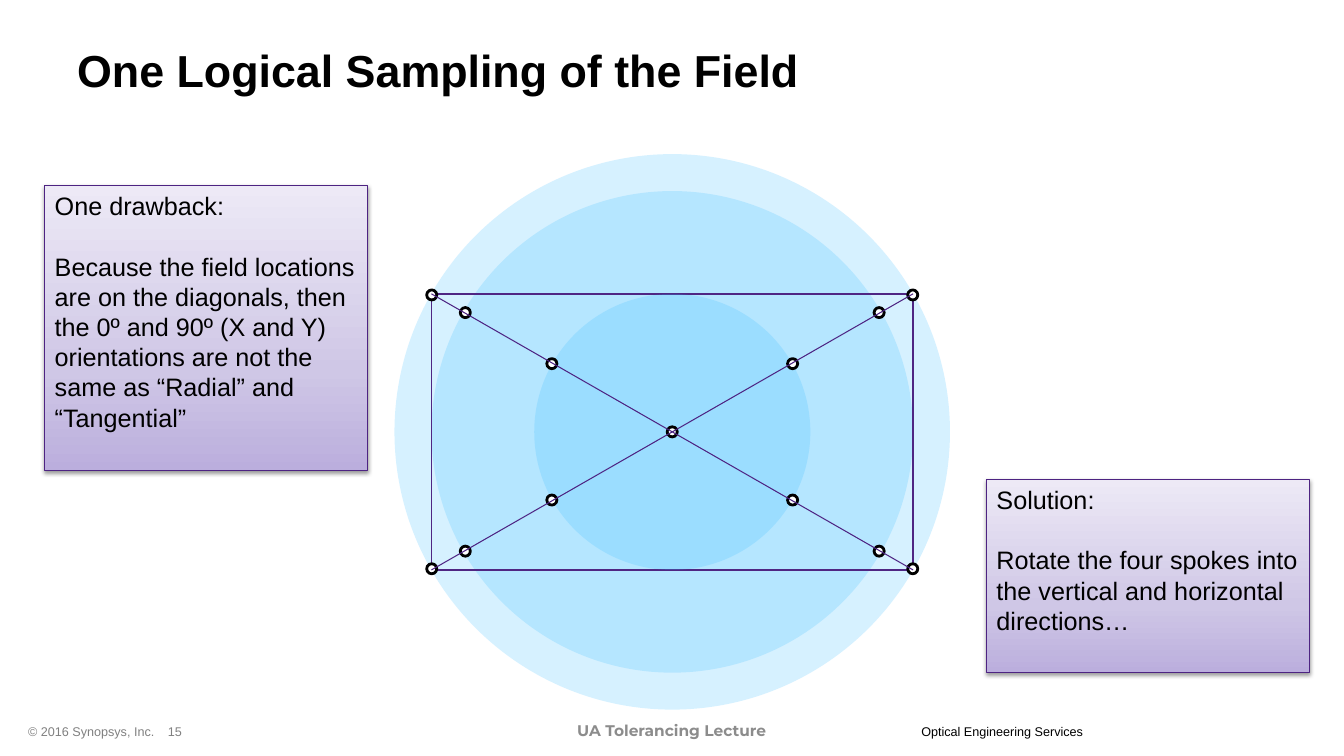
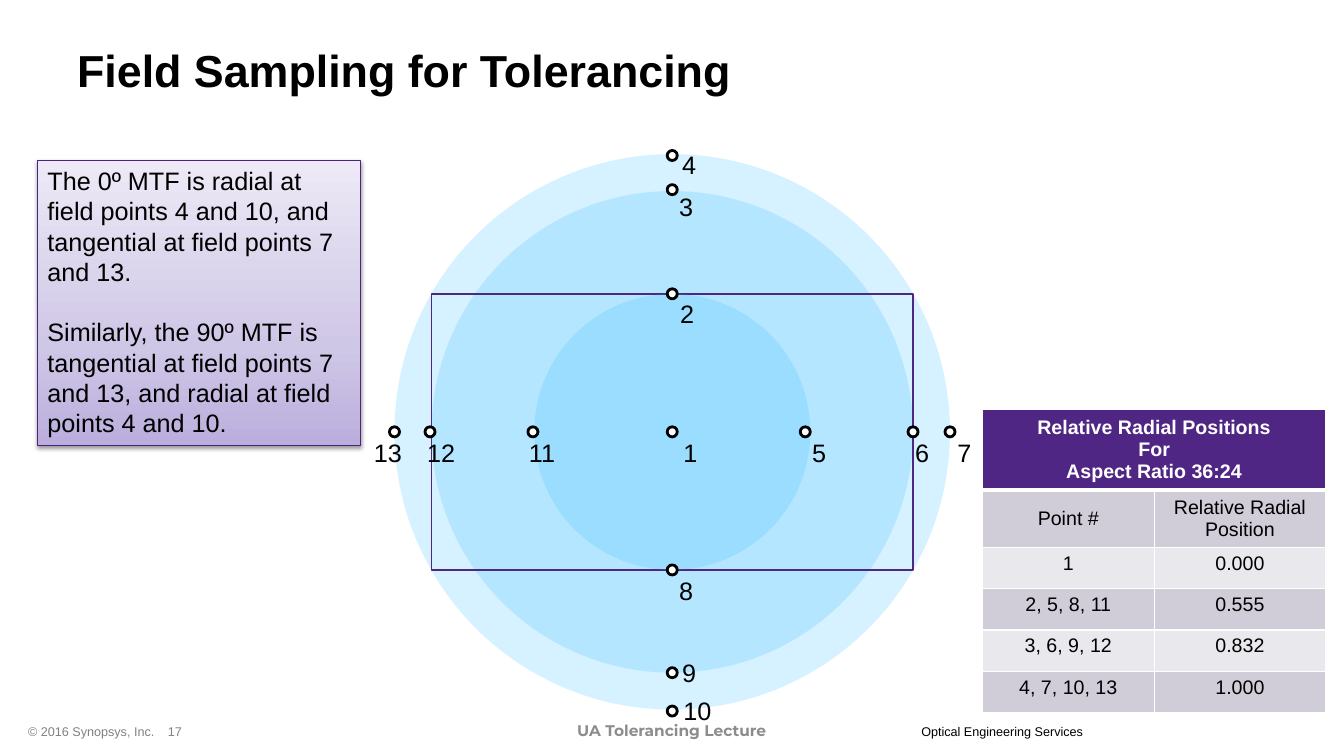
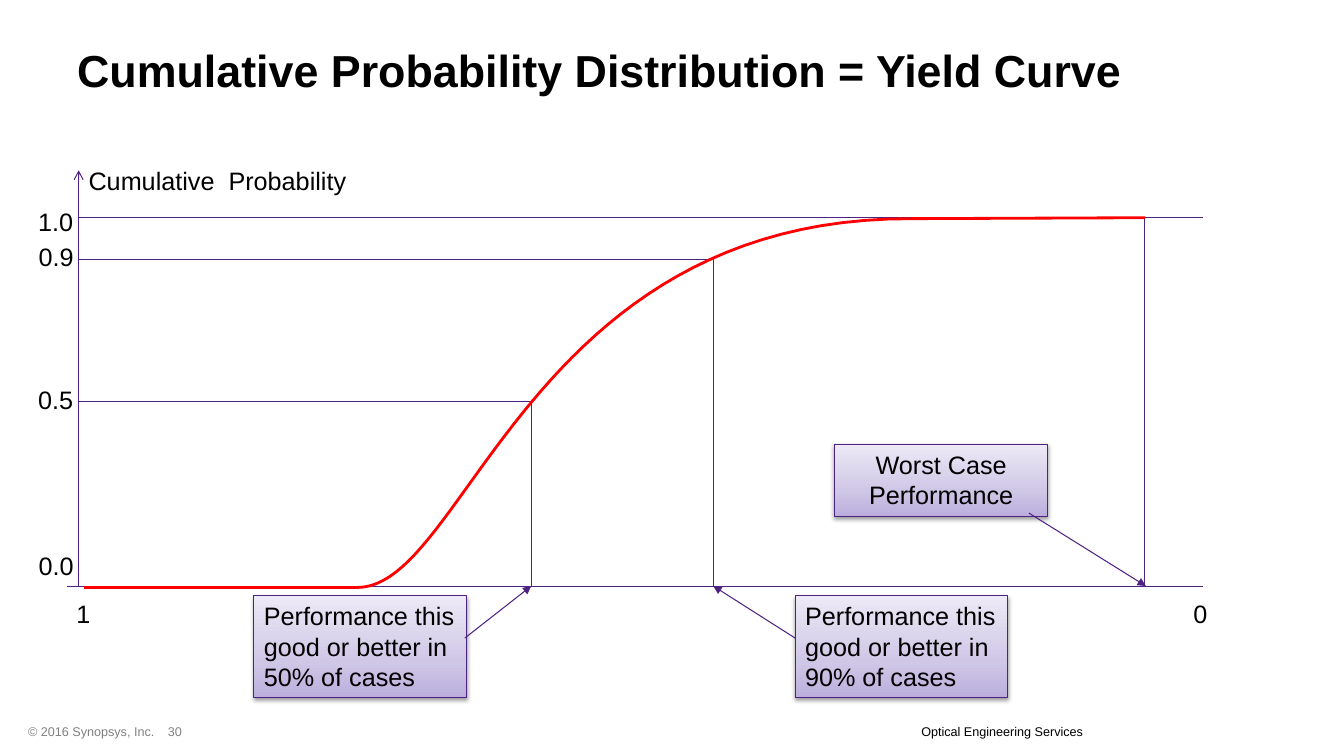
import lxml.etree
import pptx
import pptx.chart
import pptx.dml.color
import pptx.enum.shapes
import pptx.enum.text
import pptx.oxml
import pptx.oxml.ns
import pptx.util

Pt = pptx.util.Pt
SHAPES = pptx.enum.shapes.MSO_SHAPE
ALIGN = pptx.enum.text.PP_ALIGN
ANCHOR = pptx.enum.text.MSO_ANCHOR

BLACK, WHITE, GRAY, FOOTER_GRAY = "000000", "FFFFFF", "808080", "8C8C8C"
PURPLE, EDGE, SKY, RED = "4F2683", "4D2382", "34BBFF", "FF0000"
CALLOUT_STOPS = ((0, "BBAEDD"), (35, "CFC7E6"), (100, "EDE9F6"))
STRIPES = ("D0CDD9", "E9E8ED")

CENTER_X, CENTER_Y = 480.2, 308.5
INNER, MIDDLE, OUTER = 98.6, 172, 198.4
MARK = 7.2


def color(value):
    return pptx.dml.color.RGBColor.from_string(value)


def add_element(parent, tag, **attributes):
    element = lxml.etree.SubElement(parent, pptx.oxml.ns.qn(tag))
    for name, value in attributes.items():
        element.set(name, str(value))
    return element


def fill_text(frame, text, size=18, font="Arial", ink=BLACK, bold=False,
              align=ALIGN.LEFT, anchor=ANCHOR.TOP, gap=0, wrap=True):
    frame.word_wrap = wrap
    frame.vertical_anchor = anchor
    for index, line in enumerate(text.split("\n")):
        para = frame.paragraphs[0] if index == 0 else frame.add_paragraph()
        para.alignment = align
        if index and gap:
            para.space_before = Pt(gap)
        span = para.add_run()
        span.text = line
        span.font.size = Pt(size)
        span.font.name = font
        span.font.bold = bold
        span.font.color.rgb = color(ink)


def add_text(page, text, left, top, width, height=28.8, **style):
    box = page.shapes.add_textbox(Pt(left), Pt(top), Pt(width), Pt(height))
    fill_text(box.text_frame, text, **style)


def add_label(page, text, left, top):
    add_text(page, text, left, top, 14.4 + 10 * len(text), wrap=False)


def add_figure(page, kind, left, top, width, height, fill=None, alpha=None,
               line=None, weight=0.75):
    shape = page.shapes.add_shape(kind, Pt(left), Pt(top), Pt(width), Pt(height))
    shape.shadow.inherit = False
    if fill:
        shape.fill.solid()
        shape.fill.fore_color.rgb = color(fill)
    else:
        shape.fill.background()
    if alpha:
        tint = shape._element.spPr.find(".//" + pptx.oxml.ns.qn("a:srgbClr"))
        add_element(tint, "a:alpha", val=alpha * 1000)
    if line:
        shape.line.color.rgb = color(line)
        shape.line.width = Pt(weight)
    else:
        shape.line.fill.background()
    return shape


def add_callout(page, text, left, top, width, height, **style):
    shape = add_figure(page, SHAPES.RECTANGLE, left, top, width, height, line=EDGE)
    shape.fill.gradient()
    shape.fill.gradient_angle = 90
    properties = shape._element.spPr
    stops = properties.find(".//" + pptx.oxml.ns.qn("a:gsLst"))
    for stop in list(stops):
        stops.remove(stop)
    for position, value in CALLOUT_STOPS:
        stop = add_element(stops, "a:gs", pos=position * 1000)
        add_element(stop, "a:srgbClr", val=value)
    effects = properties.find(pptx.oxml.ns.qn("a:effectLst"))
    shadow = add_element(effects, "a:outerShdw", blurRad=Pt(3.1), dist=Pt(1.6),
                         dir=5400000, rotWithShape=0)
    add_element(add_element(shadow, "a:srgbClr", val=BLACK), "a:alpha", val=38000)
    fill_text(shape.text_frame, text, **style)


def add_line(page, start_x, start_y, end_x, end_y, arrow=None):
    line = page.shapes.add_connector(pptx.enum.shapes.MSO_CONNECTOR.STRAIGHT,
                                     Pt(start_x), Pt(start_y), Pt(end_x), Pt(end_y))
    line.line.color.rgb = color(EDGE)
    line.line.width = Pt(0.75)
    if arrow:
        add_element(line.line._get_or_add_ln(), "a:tailEnd", type=arrow)
    add_element(line._element.spPr, "a:effectLst")


def add_curve(page, points):
    builder = page.shapes.build_freeform(Pt(points[0][0]), Pt(points[0][1]))
    builder.add_line_segments([(Pt(x), Pt(y)) for x, y in points[1:]], close=False)
    shape = builder.convert_to_shape()
    shape.shadow.inherit = False
    shape.fill.background()
    shape.line.color.rgb = color(RED)
    shape.line.width = Pt(2)


def bezier(first, second, third, fourth, steps=48):
    points = []
    for step in range(steps + 1):
        t = step / steps
        weights = ((1 - t) ** 3, 3 * t * (1 - t) ** 2, 3 * t * t * (1 - t), t ** 3)
        corners = (first, second, third, fourth)
        points.append(tuple(sum(weight * corner[axis] for weight, corner
                                in zip(weights, corners)) for axis in (0, 1)))
    return points


def add_circle(page, radius):
    add_figure(page, SHAPES.OVAL, CENTER_X - radius, CENTER_Y - radius,
               2 * radius, 2 * radius, fill=SKY, alpha=20)


def add_field(page):
    add_circle(page, OUTER)
    add_circle(page, MIDDLE)
    add_figure(page, SHAPES.RECTANGLE, CENTER_X - MIDDLE, CENTER_Y - INNER,
               2 * MIDDLE, 2 * INNER, line=PURPLE, weight=1.25)
    add_circle(page, INNER)


def add_mark(page, across, down):
    add_figure(page, SHAPES.OVAL, CENTER_X + across - MARK / 2,
               CENTER_Y + down - MARK / 2, MARK, MARK,
               fill=WHITE, line=BLACK, weight=2)


def style_cell(cell, text, fill, bottom=1, **style):
    cell.fill.solid()
    cell.fill.fore_color.rgb = color(fill)
    properties = cell._tc.get_or_add_tcPr()
    for index, side in enumerate("LRTB"):
        weight = bottom if side == "B" else 1
        border = pptx.oxml.parse_xml(
            f'<a:ln{side} {pptx.oxml.ns.nsdecls("a")} w="{Pt(weight)}">'
            f'<a:solidFill><a:srgbClr val="{WHITE}"/></a:solidFill></a:ln{side}>')
        properties.insert(index, border)
    if text:
        fill_text(cell.text_frame, text, size=14, align=ALIGN.CENTER, **style)
        cell.vertical_anchor = style.get("anchor", ANCHOR.TOP)


def add_positions_table(page, heading, rows):
    heights = [56.5, 39.5] + [29.5] * (len(rows) - 1)
    frame = page.shapes.add_table(len(heights), 2, Pt(701.8), Pt(292.6),
                                  Pt(245.2), Pt(sum(heights)))
    table = frame.table
    table.first_row = table.horz_banding = False
    for column in table.columns:
        column.width = Pt(122.6)
    for row, height in zip(table.rows, heights):
        row.height = Pt(height)
    table.cell(0, 0).merge(table.cell(0, 1))
    for column, text in enumerate((heading, "")):
        style_cell(table.cell(0, column), text, PURPLE, bottom=3,
                   ink=WHITE, bold=True, anchor=ANCHOR.MIDDLE)
    for index, row in enumerate(rows):
        anchor = ANCHOR.TOP if index else ANCHOR.MIDDLE
        for column, text in enumerate(row):
            style_cell(table.cell(index + 1, column), text, STRIPES[index % 2],
                       anchor=anchor)


def add_page(deck, title, number, lecture=True):
    page = deck.slides.add_slide(deck.slide_layouts[6])
    add_text(page, "© 2016 Synopsys, Inc.", 13, 513.4, 296, 18, size=9, ink=GRAY)
    add_text(page, number, 91.4, 513.4, 67, 18, size=9, ink=GRAY, align=ALIGN.CENTER)
    add_text(page, "Optical Engineering Services", 651, 513.4, 139, 18, size=9)
    add_text(page, title, 48, 5, 912, 90, size=32, bold=True, anchor=ANCHOR.MIDDLE)
    if lecture:
        add_text(page, "UA Tolerancing Lecture", 323.3, 507.6, 313.2, 28.8, size=11,
                 font="Montserrat", ink=FOOTER_GRAY, bold=True,
                 align=ALIGN.CENTER, anchor=ANCHOR.MIDDLE)
    return page


def build_sampling(deck):
    page = add_page(deck, "One Logical Sampling of the Field", "15")
    add_field(page)
    add_mark(page, 0, 0)
    for across, down in ((86, 48.7), (147.8, 85.2), (171.8, 97.8)):
        for side in (-1, 1):
            for level in (-1, 1):
                add_mark(page, side * across, level * down)
    for level in (1, -1):
        add_line(page, CENTER_X - MIDDLE, CENTER_Y + level * INNER,
                 CENTER_X + MIDDLE, CENTER_Y - level * INNER)
    add_callout(page, "Solution:\nRotate the four spokes into the vertical and "
                "horizontal directions…", 704.7, 342.4, 230.6, 138.2, gap=21.6)
    add_callout(page, "One drawback:\nBecause the field locations are on the "
                "diagonals, then the 0º and 90º (X and Y) orientations are not the "
                "same as “Radial” and “Tangential”", 32, 132.4, 230.6, 203.6, gap=21.6)


def build_tolerancing(deck):
    page = add_page(deck, "Field Sampling for Tolerancing", "17")
    add_field(page)
    field_points = (
        (0, 0, 481, 309), (0, -INNER, 478.8, 209.5), (0, -MIDDLE - 1, 478, 133.2),
        (0, -OUTER + 1, 480.2, 103), (95, 0, 573, 309), (MIDDLE, 0, 646.6, 309),
        (OUTER, 0, 676.8, 309), (0, INNER, 478, 407.5), (0, MIDDLE, 480.2, 465.8),
        (0, OUTER + 1, 481, 493.2), (-99.5, 0, 370.8, 309),
        (-MIDDLE - 1, 0, 298.1, 309), (-OUTER, 0, 260, 309))
    for number, (across, down, left, top) in enumerate(field_points, 1):
        add_mark(page, across, down)
        add_label(page, str(number), left, top)
    add_callout(page, "The 0º MTF is radial at field points 4 and 10, and tangential "
                "at field points 7 and 13.\nSimilarly, the 90º MTF is tangential at "
                "field points 7 and 13, and radial at field points 4 and 10.",
                26.8, 114.6, 230.6, 203.6, gap=21.6)
    add_positions_table(page, "Relative Radial Positions\nFor\nAspect Ratio 36:24", (
        ("Point #", "Relative Radial Position"), ("1", "0.000"),
        ("2, 5, 8, 11", "0.555"), ("3, 6, 9, 12", "0.832"), ("4, 7, 10, 13", "1.000")))


def build_yield(deck):
    page = add_page(deck, "Cumulative Probability Distribution = Yield Curve", "30",
                    lecture=False)
    axis_x, axis_y, full_y, right = 56.2, 418.6, 155.5, 859
    half_x, half_y, ninety_x, ninety_y, worst_x = 379.5, 286.8, 509.5, 185.2, 817.5
    add_line(page, 48.2, axis_y, right, axis_y)
    add_line(page, axis_x, axis_y, axis_x, 121.7, arrow="arrow")
    add_line(page, axis_x, full_y, right, full_y)
    for x, y in ((half_x, half_y), (ninety_x, ninety_y)):
        add_line(page, x, y, axis_x, y)
        add_line(page, x, axis_y, x, y)
    add_line(page, worst_x, axis_y, worst_x, full_y)
    rise = bezier((255, 419.6), (332.6, 420.2), (376.6, 155.5), (650.2, 156.2))
    add_curve(page, [(60, 419.6)] + rise + [(818, full_y)])
    for text, left, top in (("1", 47.5, 424), ("0", 845.3, 424), ("0.0", 20.5, 389.5),
                            ("0.5", 20.2, 270.7), ("0.9", 20.5, 168.5),
                            ("1.0", 20.2, 144)):
        add_text(page, text, left, top, 24.4 if len(text) == 1 else 39.4, wrap=False)
    add_text(page, "Cumulative  Probability", axis_x, 114.5, 200, wrap=False)
    for share, left in (("50%", 181.4), ("90%", 568)):
        add_callout(page, f"Performance this good or better in {share} of cases",
                    left, 425.6, 152, 72.7)
    add_callout(page, "Worst Case Performance", 596.3, 317.5, 152, 51.1,
                align=ALIGN.CENTER)
    for start_x, start_y, end_x in ((332, 455.8, half_x), (568, 455.8, ninety_x),
                                    (735, 366.5, worst_x + 1)):
        add_line(page, start_x, start_y, end_x, axis_y, arrow="triangle")


def main():
    deck = pptx.Presentation()
    deck.slide_width, deck.slide_height = Pt(960), Pt(540)
    build_sampling(deck)
    build_tolerancing(deck)
    build_yield(deck)
    deck.save("out.pptx")


if __name__ == "__main__":
    main()
